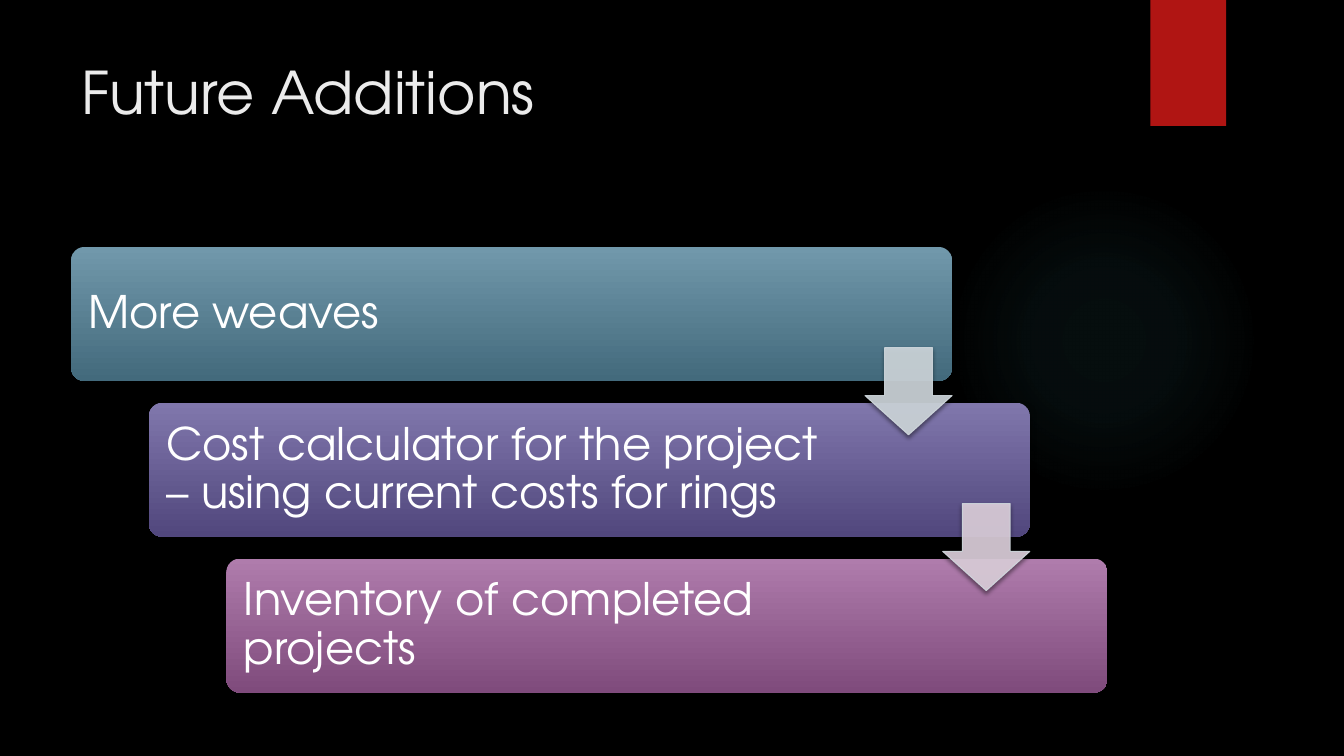
import pptx
import pptx.dml.color
import pptx.enum.shapes
import pptx.enum.text
import pptx.oxml
import pptx.oxml.ns
import pptx.util

Pt = pptx.util.Pt
SHAPES = pptx.enum.shapes.MSO_SHAPE
ANCHORS = pptx.enum.text.MSO_ANCHOR

TITLE = "Future Additions"
STEPS = [
    {"text": "More weaves", "gradient": ("7198AB", "436A7C"), "text_width": 526},
    {"text": "Cost calculator for the project – using current costs for rings",
     "gradient": ("8077AC", "51477D"), "text_width": 506},
    {"text": "Inventory of completed projects",
     "gradient": ("AF7CAC", "7F4B7C"), "text_width": 506},
]
COLOURS = {"background": "000000", "glow": "50B9C1", "ribbon": "B01513",
           "title": "EBEBEB", "step_text": "FFFFFF", "shadow": "000000",
           "arrow_line": "D1D9DE"}
ARROW_FILLS = ["D1D9DE", "DFD2DE"]
GLOW_STOPS = [(0, 7), (36, 6), (69, 0)]
FONT = "TeX Gyre Adventor"

STEP_LEFT, STEP_TOP = 50.8, 176.4
STEP_SHIFT, STEP_PITCH = 55.5, 111.3
STEP_WIDTH, STEP_HEIGHT = 629.3, 95.7
TEXT_OFFSET = 2.8
ARROW_SIZE, ARROW_DROP = 62.2, 72
STEP_SHADOW = {"alpha": 60, "blur": 5, "distance": 3}
SMALL_SHADOW = {"alpha": 45, "blur": 3, "distance": 2}


def rgb(value):
    return pptx.dml.color.RGBColor.from_string(value)


def set_attributes(target, values):
    for name, value in values.items():
        setattr(target, name, value)


def add_plain_shape(slide, kind, left, top, width, height, adjustments=()):
    """Add a preset shape with no outline and no shadow."""
    shape = slide.shapes.add_shape(kind, Pt(left), Pt(top), Pt(width), Pt(height))
    shape.shadow.inherit = False
    shape.line.fill.background()
    for index, value in enumerate(adjustments):
        shape.adjustments[index] = value
    return shape


def fill_solid(fill, colour, alpha=100):
    fill.solid()
    fill.fore_color.rgb = rgb(colour)
    if alpha < 100:
        node = fill._xPr.find(".//" + pptx.oxml.ns.qn("a:srgbClr"))
        node.append(pptx.oxml.parse_xml(
            f'<a:alpha {pptx.oxml.ns.nsdecls("a")} val="{alpha * 1000}"/>'))


def fill_downward(shape, colours):
    shape.fill.gradient()
    shape.fill.gradient_angle = 270
    for position, (stop, colour) in enumerate(zip(shape.fill.gradient_stops, colours)):
        stop.color.rgb = rgb(colour)
        stop.position = position


def fill_glow(shape):
    """Fill with one colour that fades outward from the centre."""
    stops = "".join(
        f'<a:gs pos="{position * 1000}"><a:srgbClr val="{COLOURS["glow"]}">'
        f'<a:alpha val="{alpha * 1000}"/></a:srgbClr></a:gs>'
        for position, alpha in GLOW_STOPS)
    gradient = pptx.oxml.parse_xml(
        f'<a:gradFill {pptx.oxml.ns.nsdecls("a")}><a:gsLst>{stops}</a:gsLst>'
        '<a:path path="circle"><a:fillToRect l="50000" t="50000" r="50000" b="50000"/>'
        '</a:path></a:gradFill>')
    geometry = shape._element.spPr.find(pptx.oxml.ns.qn("a:prstGeom"))
    geometry.addnext(gradient)


def add_shadow(shape, alpha, blur, distance):
    effects = shape._element.spPr.find(pptx.oxml.ns.qn("a:effectLst"))
    effects.append(pptx.oxml.parse_xml(
        f'<a:outerShdw {pptx.oxml.ns.nsdecls("a")} blurRad="{Pt(blur)}" '
        f'dist="{Pt(distance)}" dir="5400000" algn="ctr" rotWithShape="0">'
        f'<a:srgbClr val="{COLOURS["shadow"]}"><a:alpha val="{alpha * 1000}"/>'
        '</a:srgbClr></a:outerShdw>'))


def add_text(slide, text, left, top, width, height, size, colour, frame_format, spacing=1.0):
    box = slide.shapes.add_textbox(Pt(left), Pt(top), Pt(width), Pt(height))
    set_attributes(box.text_frame, {"word_wrap": True, **frame_format})
    paragraph = box.text_frame.paragraphs[0]
    paragraph.line_spacing = spacing
    run = paragraph.add_run()
    run.text = text
    set_attributes(run.font, {"name": FONT, "size": Pt(size)})
    run.font.color.rgb = rgb(colour)


def add_step(slide, index, step):
    left = STEP_LEFT + index * STEP_SHIFT
    top = STEP_TOP + index * STEP_PITCH
    card = add_plain_shape(slide, SHAPES.ROUNDED_RECTANGLE, left, top,
                           STEP_WIDTH, STEP_HEIGHT, [0.1])
    fill_downward(card, step["gradient"])
    add_shadow(card, **STEP_SHADOW)
    margins = {f"margin_{side}": Pt(9.6) for side in ("left", "top", "right", "bottom")}
    add_text(slide, step["text"], left + TEXT_OFFSET, top + TEXT_OFFSET,
             step["text_width"], STEP_HEIGHT - 2 * TEXT_OFFSET, 32, COLOURS["step_text"],
             {"vertical_anchor": ANCHORS.MIDDLE, **margins}, 0.9)


def add_arrow(slide, index, colour):
    """Add the arrow that ends flush with the right edge of its step."""
    left = STEP_LEFT + index * STEP_SHIFT + STEP_WIDTH - ARROW_SIZE
    top = STEP_TOP + index * STEP_PITCH + ARROW_DROP
    arrow = add_plain_shape(slide, SHAPES.DOWN_ARROW, left, top,
                            ARROW_SIZE, ARROW_SIZE, [0.55, 0.45])
    fill_solid(arrow.fill, colour, 90)
    fill_solid(arrow.line.fill, COLOURS["arrow_line"], 90)
    arrow.line.width = Pt(0.75)
    add_shadow(arrow, **SMALL_SHADOW)


def main():
    presentation = pptx.Presentation()
    set_attributes(presentation, {"slide_width": Pt(960), "slide_height": Pt(540)})
    slide = presentation.slides.add_slide(presentation.slide_layouts[6])
    fill_solid(slide.background.fill, COLOURS["background"])

    fill_glow(add_plain_shape(slide, SHAPES.OVAL, 677.5, 131.8, 221.8, 221.8))
    ribbon = add_plain_shape(slide, SHAPES.RECTANGLE, 821.8, 0, 54, 90)
    fill_solid(ribbon.fill, COLOURS["ribbon"])
    add_shadow(ribbon, **SMALL_SHADOW)
    add_text(slide, TITLE, 51, 36, 741, 110, 42, COLOURS["title"],
             {"vertical_anchor": ANCHORS.TOP})

    for index, step in enumerate(STEPS):
        add_step(slide, index, step)
    for index, colour in enumerate(ARROW_FILLS):
        add_arrow(slide, index, colour)
    presentation.save("out.pptx")


if __name__ == "__main__":
    main()
